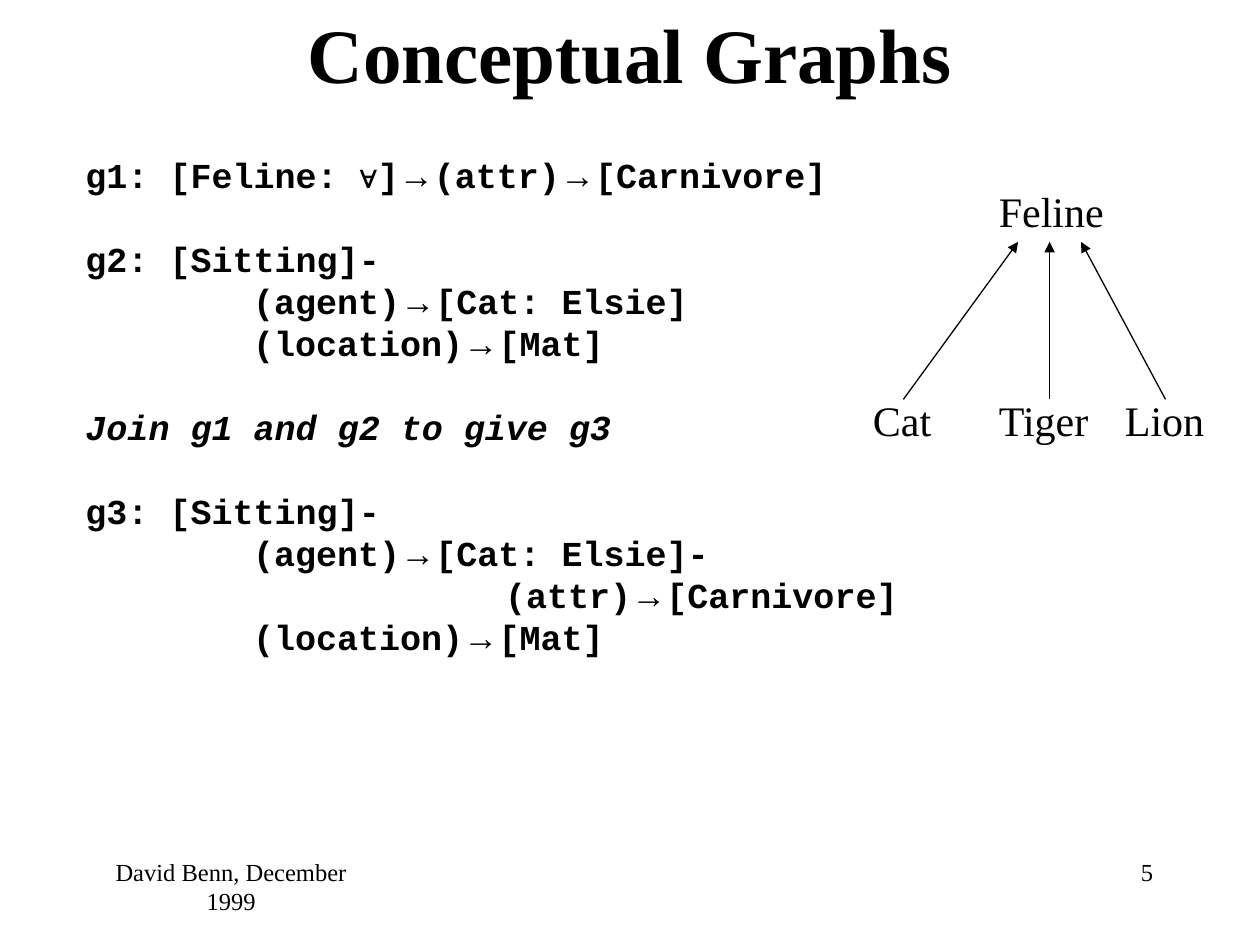
from lxml.etree import SubElement
from pptx import Presentation
from pptx.dml.color import RGBColor
from pptx.enum.shapes import MSO_CONNECTOR
from pptx.enum.text import MSO_ANCHOR, PP_ALIGN
from pptx.oxml.ns import qn
from pptx.util import Inches, Pt

COLORS = {"ink": "000000"}
SERIF, MONO, SYMBOL = "Times New Roman", "Courier New", "Arial"
LINE_HEIGHT = 24

GRAPH_LINES = [
    {"text": "g1: [Feline: ∀]→(attr)→[Carnivore]"},
    {"text": "g2: [Sitting]-", "gap": True},
    {"text": "(agent)→[Cat: Elsie]", "indent": 1.33},
    {"text": "(location)→[Mat]", "indent": 1.33},
    {"text": "Join g1 and g2 to give g3", "gap": True, "italic": True},
    {"text": "g3: [Sitting]-", "gap": True},
    {"text": "(agent)→[Cat: Elsie]-", "indent": 1.33},
    {"text": "(attr)→[Carnivore]", "indent": 3.33},
    {"text": "(location)→[Mat]", "indent": 1.33},
]
SYMBOL_SIZES = {"∀": 18, "→": 20}

LABELS = [
    {"text": "Conceptual Graphs", "at": (0.75, 0, 8.5, 0.83), "size": 44,
     "align": PP_ALIGN.CENTER, "anchor": MSO_ANCHOR.MIDDLE, "bold": True},
    {"text": "Feline", "at": (7.83, 1.42, 1.03, 0.5), "size": 24, "wrap": False},
    {"text": "Cat\tTiger\tLion", "at": (6.83, 3.08, 2.83, 0.5), "size": 24,
     "wrap": False, "tabs": (1, 2)},
    {"text": "David Benn, December 1999", "at": (0.75, 6.75, 2.17, 0.5),
     "size": 14, "align": PP_ALIGN.CENTER},
    {"text": "5", "at": (8.67, 6.75, 0.58, 0.5), "size": 14, "align": PP_ALIGN.RIGHT},
]

ARROW_BOTTOM, ARROW_TOP = 3.17, 1.92
ARROWS = [(7.17, 8.08), (8.33, 8.33), (9.25, 8.58)]


def ink():
    return RGBColor.from_string(COLORS["ink"])


def set_font(font, name, size, bold=False, italic=False):
    font.name, font.size, font.bold, font.italic = name, Pt(size), bold, italic
    font.color.rgb = ink()


def add_box(page, at, wrap=True, anchor=MSO_ANCHOR.TOP):
    frame = page.shapes.add_textbox(*map(Inches, at)).text_frame
    frame.word_wrap = wrap
    frame.vertical_anchor = anchor
    return frame


def add_label(page, label):
    frame = add_box(page, label["at"], label.get("wrap", True),
                    label.get("anchor", MSO_ANCHOR.TOP))
    para = frame.paragraphs[0]
    para.text = label["text"]
    para.alignment = label.get("align", PP_ALIGN.LEFT)
    if "tabs" in label:
        stops = SubElement(para._p.get_or_add_pPr(), qn("a:tabLst"))
        for stop in label["tabs"]:
            SubElement(stops, qn("a:tab"), pos=str(Inches(stop)), algn="l")
    set_font(para.font, SERIF, label["size"], label.get("bold", False))


def split_symbols(text):
    for symbol in SYMBOL_SIZES:
        text = text.replace(symbol, f"\n{symbol}\n")
    return [part for part in text.split("\n") if part]


def add_graphs(page):
    frame = add_box(page, (0.58, 1.17, 6.92, 4.1))
    for index, line in enumerate(GRAPH_LINES):
        para = frame.add_paragraph() if index else frame.paragraphs[0]
        para.line_spacing = Pt(LINE_HEIGHT)
        if line.get("gap"):
            para.space_before = Pt(LINE_HEIGHT)
        properties = para._p.get_or_add_pPr()
        properties.set("marL", str(Inches(line.get("indent", 0))))
        properties.set("indent", "0")
        set_font(para.font, MONO, 20, bold=True, italic=line.get("italic", False))
        for part in split_symbols(line["text"]):
            span = para.add_run()
            span.text = part
            if part in SYMBOL_SIZES:
                span.font.name = SYMBOL
                span.font.size = Pt(SYMBOL_SIZES[part])


def add_arrow(page, start, end):
    arrow = page.shapes.add_connector(
        MSO_CONNECTOR.STRAIGHT, Inches(start), Inches(ARROW_BOTTOM),
        Inches(end), Inches(ARROW_TOP))
    arrow.line.color.rgb = ink()
    arrow.line.width = Pt(0.75)
    SubElement(arrow.line._get_or_add_ln(), qn("a:tailEnd"), type="triangle")
    SubElement(arrow._element.spPr, qn("a:effectLst"))


def main():
    deck = Presentation()
    deck.slide_width, deck.slide_height = Inches(10), Inches(7.5)
    page = deck.slides.add_slide(deck.slide_layouts[6])
    add_graphs(page)
    for label in LABELS:
        add_label(page, label)
    for start, end in ARROWS:
        add_arrow(page, start, end)
    deck.save("out.pptx")


if __name__ == "__main__":
    main()
